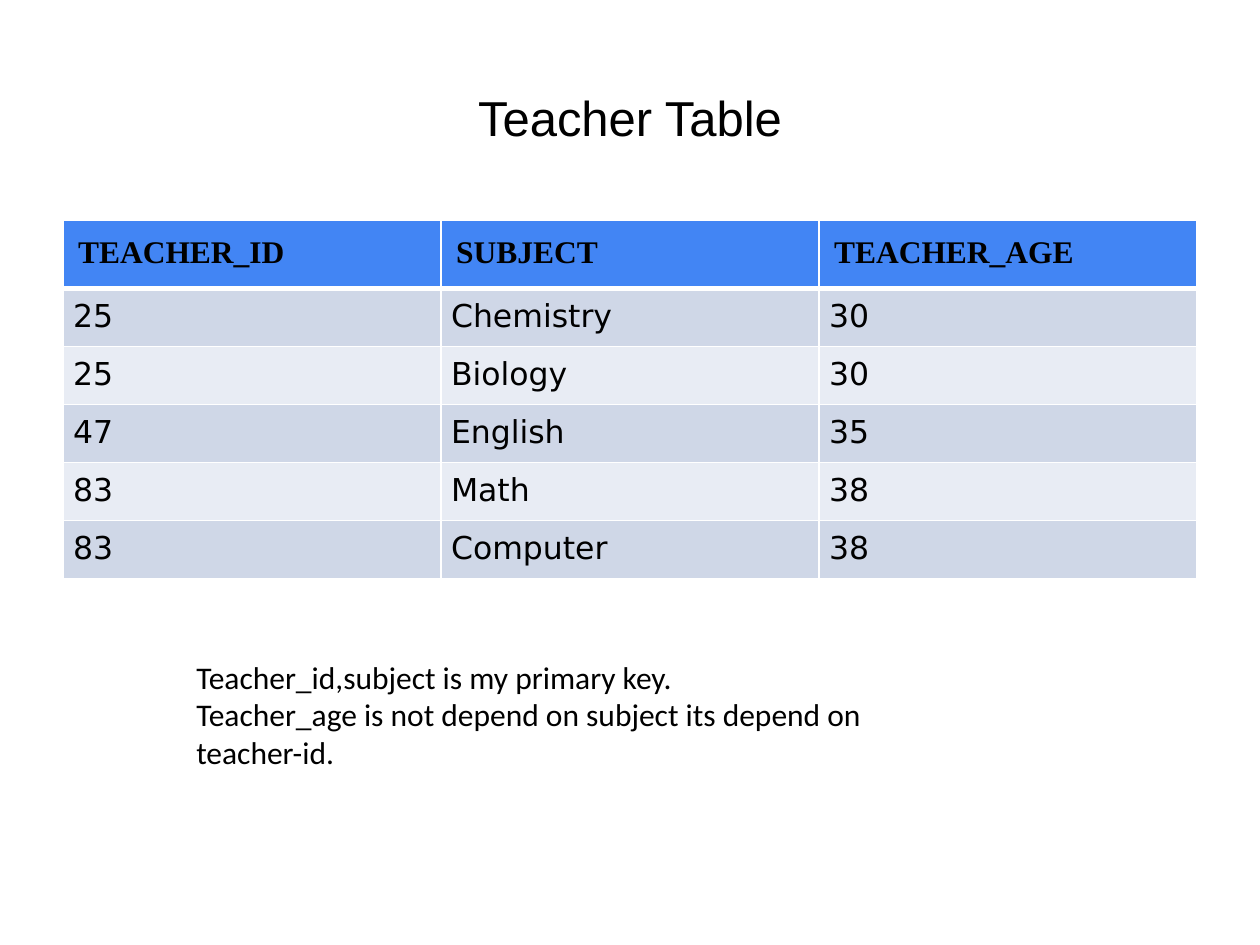
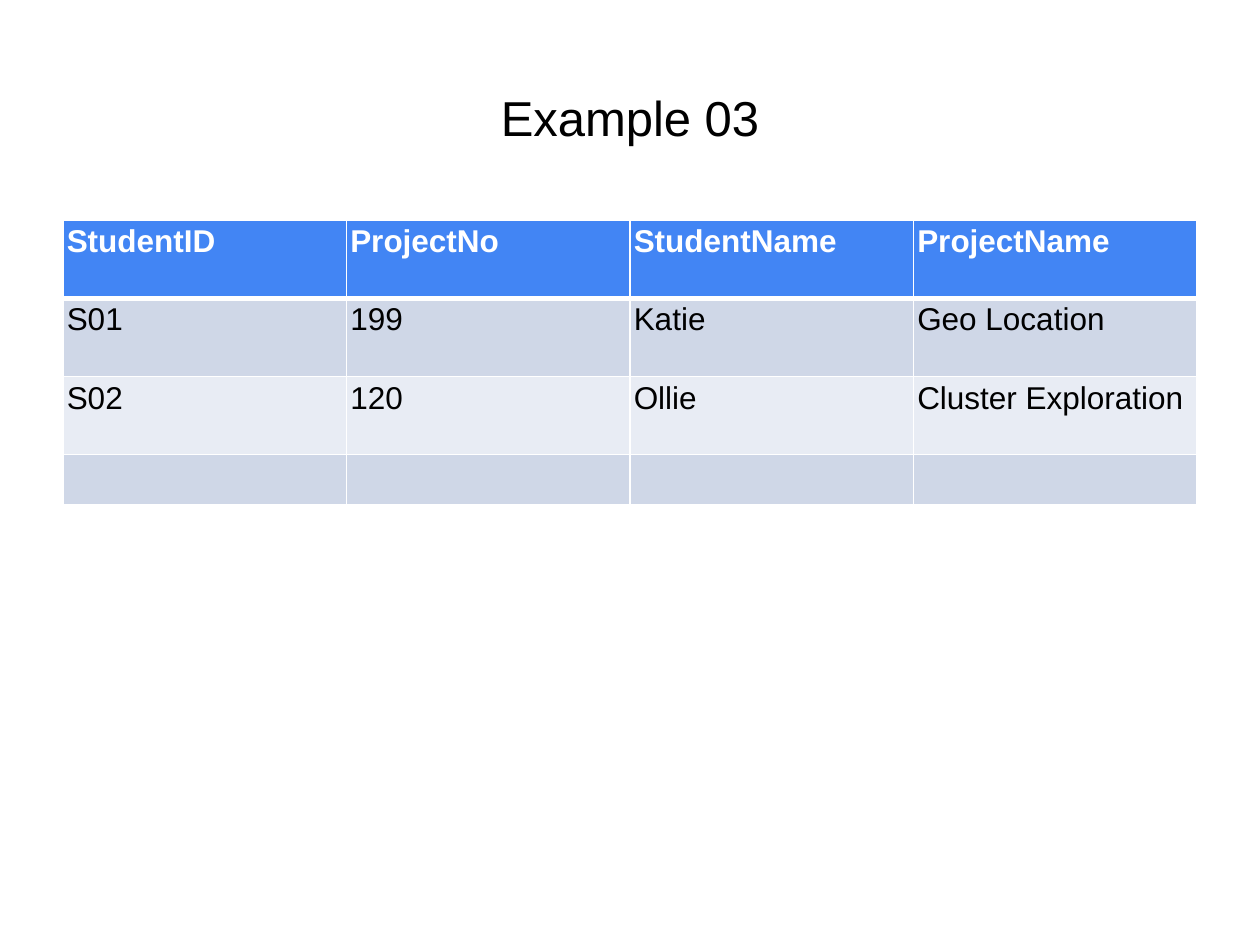
from lxml import etree
from pptx import Presentation
from pptx.dml.color import RGBColor as RGB
from pptx.enum.text import MSO_ANCHOR as ANCHOR, MSO_AUTO_SIZE as AUTO, PP_ALIGN as ALIGN
from pptx.oxml import parse_xml
from pptx.oxml.ns import nsdecls
from pptx.util import Inches, Pt

COLORS = {"black": "000000", "white": "FFFFFF", "header": "4285F4",
          "odd": "CFD7E7", "even": "E8ECF4"}
TABLE_LEFT, TABLE_TOP, TABLE_WIDTH = 0.5, 1.75, 9


def style_text(tf, font, size, color="black", bold=False):
    for p in tf.paragraphs:
        for f in [p.font] + [r.font for r in p.runs]:
            f.name, f.size, f.bold = font, Pt(size), bold
            f.color.rgb = RGB.from_string(COLORS[color])


def set_borders(cell, top, bottom):
    tcPr = cell._tc.get_or_add_tcPr()
    sides = [("L", 1), ("R", 1), ("T", top), ("B", bottom)]
    for i, (side, width) in enumerate(sides):
        tcPr.insert(i, parse_xml(
            f'<a:ln{side} {nsdecls("a")} w="{Pt(width)}"><a:solidFill>'
            f'<a:srgbClr val="{COLORS["white"]}"/></a:solidFill></a:ln{side}>'))


prs = Presentation()
prs.slide_width, prs.slide_height = Inches(10), Inches(7.5)

# Content of the two slides
pages = [
    {"title": "Teacher Table",
     "rows": [["TEACHER_ID", "SUBJECT", "TEACHER_AGE"],
              ["25", "Chemistry", "30"],
              ["25", "Biology", "30"],
              ["47", "English", "35"],
              ["83", "Math", "38"],
              ["83", "Computer", "38"]],
     "heights": [0.52] + [2.28 / 5] * 5,
     "header": ("Times New Roman", "black", 0.12),
     "body": ("DejaVu Sans", "black", 0.08),
     "note": "Teacher_id,subject is my primary key.\n"
             "Teacher_age is not depend on subject its depend on teacher-id."},
    {"title": "Example 03",
     "rows": [["StudentID", "ProjectNo", "StudentName", "ProjectName"],
              ["S01", "199", "Katie", "Geo Location"],
              ["S02", "120", "Ollie", "Cluster Exploration"],
              [""] * 4],
     "heights": [0.62] * 3 + [0.4],
     "header": ("Arial", "white", 0.03),
     "body": ("Arial", "black", 0.03),
     "note": None},
]

for page in pages:
    s = prs.slides.add_slide(prs.slide_layouts[6])

    # Title
    tf = s.shapes.add_textbox(Inches(0.5), Inches(0.3), Inches(9), Inches(1.25)).text_frame
    tf.word_wrap, tf.vertical_anchor = True, ANCHOR.MIDDLE
    tf.text = page["title"]
    tf.paragraphs[0].alignment = ALIGN.CENTER
    style_text(tf, "Arial", 28)

    # Table with equal columns and alternating row fills
    rows = page["rows"]
    table = s.shapes.add_table(len(rows), len(rows[0]), Inches(TABLE_LEFT), Inches(TABLE_TOP),
                               Inches(TABLE_WIDTH), Inches(sum(page["heights"]))).table
    for i, values in enumerate(rows):
        table.rows[i].height = Inches(page["heights"][i])
        font, color, inset = page["header" if i == 0 else "body"]
        fill = "header" if i == 0 else "odd" if i % 2 else "even"
        for j, value in enumerate(values):
            cell = table.cell(i, j)
            cell.text = value
            cell.margin_left = cell.margin_right = Inches(inset)
            cell.margin_top = cell.margin_bottom = Inches(inset)
            cell.fill.solid()
            cell.fill.fore_color.rgb = RGB.from_string(COLORS[fill])
            set_borders(cell, 3 if i == 1 else 1, 3 if i == 0 else 1)
            style_text(cell.text_frame, font, 18, color, bold=i == 0)

    # Note under the table
    if page["note"]:
        tf = s.shapes.add_textbox(Inches(1.46), Inches(5.17), Inches(6.3), Inches(1.01)).text_frame
        tf.word_wrap, tf.auto_size = True, AUTO.SHAPE_TO_FIT_TEXT
        tf.text = page["note"]
        style_text(tf, "Calibri", 18)

prs.save("out.pptx")
